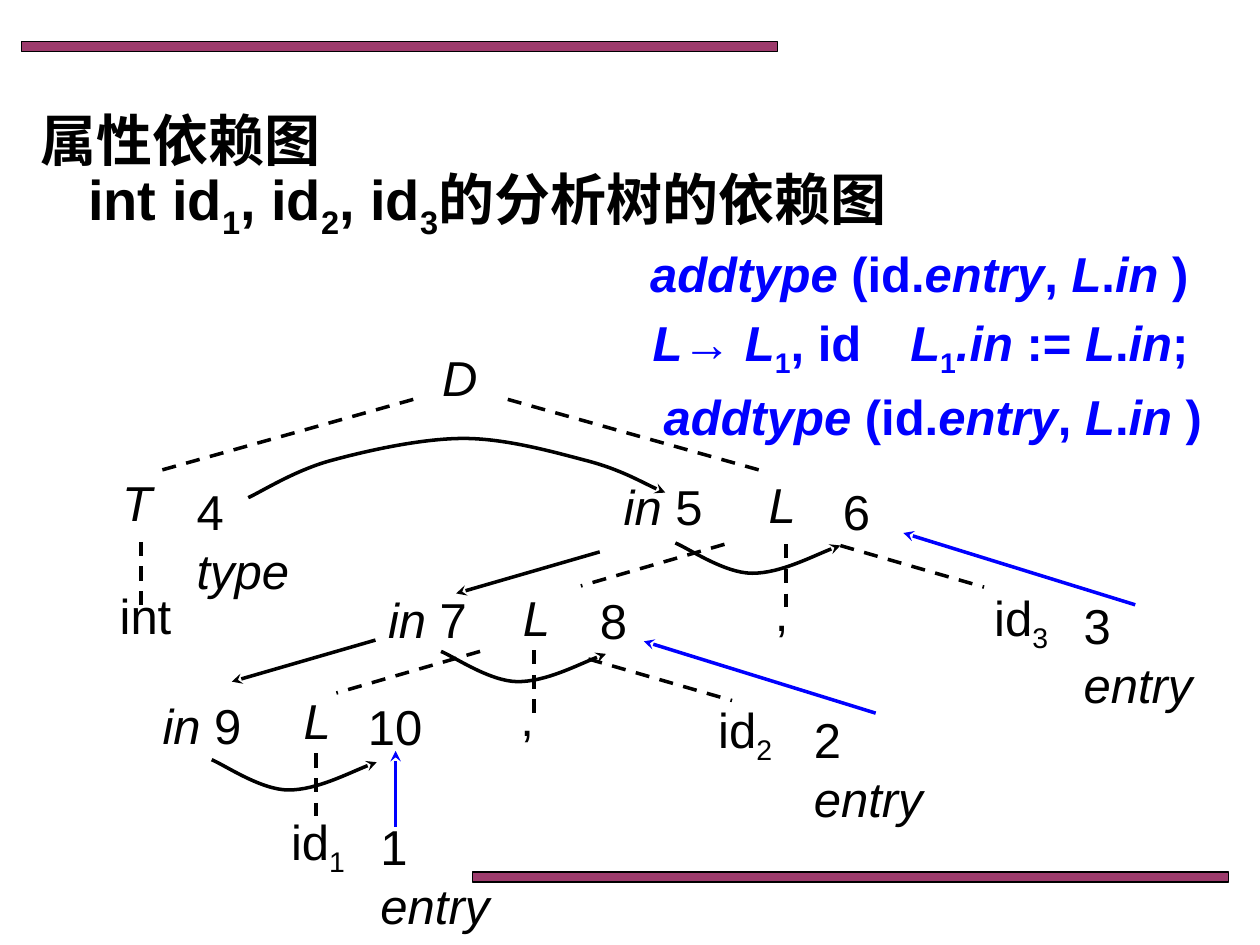
from dataclasses import dataclass

from lxml import etree
from pptx import Presentation
from pptx.dml.color import RGBColor
from pptx.enum import dml, shapes, text
from pptx.oxml import ns
from pptx.util import Inches, Pt


@dataclass(frozen=True)
class Theme:
    font: str = "Arial"
    heading: int = 32
    label: int = 28
    black: RGBColor = RGBColor(0, 0, 0)
    blue: RGBColor = RGBColor(0, 0, 255)
    bar: RGBColor = RGBColor(0x99, 0x33, 0x66)
    stroke: int = 2


THEME = Theme()

# In all text, * switches italics on or off and _ lowers the next character.
# Body lines: text, size, colour, alignment, line height in points, first indent
RIGHT, LEFT = text.PP_ALIGN.RIGHT, text.PP_ALIGN.LEFT
BODY = [
    ("属性依赖图", THEME.heading, THEME.black, LEFT, 41, -0.38),
    ("int id_1, id_2, id_3的分析树的依赖图", THEME.heading, THEME.black, LEFT, 39, 0),
    ("*addtype *(id.*entry*, *L*.*in* ) ", THEME.label, THEME.blue, RIGHT, 35, -0.38),
    ("*L*→ *L*_1, id\N{EM SPACE}*L*_1*.in* := *L*.*in*; ", THEME.label, THEME.blue, RIGHT, 44, -0.38),
    ("*addtype *(id.*entry*, *L*.*in* )", THEME.label, THEME.blue, RIGHT, 38, -0.38),
]

# Node labels: text, left, top, width
LABELS = [
    ("*D*", 3.49, 2.75, 0.43),
    ("*T*", 0.95, 3.74, 0.64),
    ("4 *type*", 1.54, 3.81, 1.06),
    ("*in *5", 4.93, 3.77, 0.99),
    ("*L*", 6.08, 3.76, 0.59),
    ("6", 6.67, 3.81, 0.48),
    ("int", 0.93, 4.64, 1.14),
    ("*in *7", 3.06, 4.67, 0.74),
    ("*L*", 4.13, 4.65, 0.51),
    ("8", 4.74, 4.68, 0.48),
    (",", 6.13, 4.61, 0.43),
    ("id_3", 7.87, 4.65, 0.98),
    ("3 *entry*", 8.58, 4.72, 1.17),
    ("*in *9", 1.27, 5.51, 0.74),
    ("*L*", 2.39, 5.47, 0.48),
    ("10", 2.9, 5.52, 0.48),
    (",", 4.11, 5.45, 0.43),
    ("id_2", 5.68, 5.54, 0.99),
    ("2 *entry*", 6.44, 5.62, 1.17),
    ("id_1", 2.29, 6.43, 0.99),
    ("1 *entry*", 3, 6.47, 1.17),
]

# Tree edges and arrows: reach (dx, dy), then the starts that share it
TREE_EDGES = [
    ((-2.03, 0.57), [(3.28, 3.17)]),
    ((2.03, 0.57), [(4.03, 3.17)]),
    ((-1.14, 0.33), [(5.75, 4.32), (3.81, 5.17)]),
    ((1.14, 0.33), [(6.67, 4.33), (4.67, 5.23)]),
    ((0, 0.5), [(1.12, 4.3), (6.24, 4.32), (4.24, 5.16), (2.51, 5.98)]),
]
INHERITED_ARROWS = [((-1.14, 0.33), [(4.76, 4.38), (2.98, 5.08)])]
ENTRY_ARROWS = [
    ((-1.84, -0.57), [(9.01, 4.8), (6.95, 5.66)]),
    ((0, -0.6), [(3.14, 6.56)]),
]

# Curves: Bezier points relative to the start
TYPE_ARC = [(0.11, -0.05), (0.36, -0.21), (0.64, -0.29),
            (0.93, -0.37), (1.37, -0.47), (1.71, -0.47),
            (2.05, -0.47), (2.43, -0.36), (2.7, -0.29),
            (2.96, -0.22), (3.18, -0.09), (3.31, -0.04)]
COPY_ARC = [(0.1, 0.04), (0.39, 0.24), (0.61, 0.24),
            (0.83, 0.24), (1.16, 0.07), (1.31, 0.02)]
COPY_STARTS = [(5.36, 4.31), (3.5, 5.17), (1.68, 6.03)]


def add_runs(paragraph, markup):
    """Split the markup into runs of plain, italic and lowered text."""
    for index, part in enumerate(markup.split("*")):
        for position, piece in enumerate(part.split("_")):
            lowered, rest = (piece[:1], piece[1:]) if position else ("", piece)
            for content, offset in ((lowered, "-25000"), (rest, None)):
                if not content:
                    continue
                run = paragraph.add_run()
                run.text = content
                if index % 2:
                    run.font.italic = True
                if offset:
                    run.font._element.set("baseline", offset)


def style_font(font, size, color, bold=False):
    font.name = THEME.font
    font.size = Pt(size)
    font.bold = bold
    font.color.rgb = color


def style_line(line, color, dashed=False, arrow=False):
    line.color.rgb = color
    line.width = Pt(THEME.stroke)
    if dashed:
        line.dash_style = dml.MSO_LINE.DASH
    if arrow:
        etree.SubElement(line._get_or_add_ln(), ns.qn("a:tailEnd"), type="stealth")


def add_bar(slide, left, top):
    bar = slide.shapes.add_shape(
        shapes.MSO_SHAPE.RECTANGLE, Inches(left), Inches(top), Inches(6), Inches(0.08))
    bar.shadow.inherit = False
    bar.fill.solid()
    bar.fill.fore_color.rgb = THEME.bar
    color = bar.fill._xPr.find(".//" + ns.qn("a:srgbClr"))
    etree.SubElement(color, ns.qn("a:alpha"), val="96000")
    bar.line.color.rgb = THEME.black
    bar.line.width = Pt(0.75)


def fill_body(body):
    body.left, body.top, body.width, body.height = map(Inches, (0.22, 0.75, 9.42, 5.75))
    frame = body.text_frame
    frame.auto_size = text.MSO_AUTO_SIZE.NONE
    frame.vertical_anchor = text.MSO_ANCHOR.TOP
    for index, (markup, size, color, alignment, height, indent) in enumerate(BODY):
        paragraph = frame.add_paragraph() if index else frame.paragraphs[0]
        properties = paragraph._p.get_or_add_pPr()
        properties.set("marL", str(Inches(0.38)))
        properties.set("indent", str(Inches(indent)))
        etree.SubElement(properties, ns.qn("a:buNone"))
        paragraph.alignment = alignment
        paragraph.space_before = Pt(0)
        paragraph.line_spacing = Pt(height)
        add_runs(paragraph, markup)
        style_font(paragraph.font, size, color, bold=True)


def add_label(slide, markup, left, top, width):
    box = slide.shapes.add_textbox(Inches(left), Inches(top), Inches(width), Inches(0.48))
    frame = box.text_frame
    frame.word_wrap = True
    frame.margin_left = frame.margin_right = Inches(0.02)
    frame.margin_top = frame.margin_bottom = Inches(0.01)
    paragraph = frame.paragraphs[0]
    paragraph.alignment = text.PP_ALIGN.JUSTIFY
    add_runs(paragraph, markup)
    style_font(paragraph.font, THEME.label, THEME.black)


def add_lines(slide, groups, color, **style):
    for (dx, dy), starts in groups:
        for x, y in starts:
            connector = slide.shapes.add_connector(
                shapes.MSO_CONNECTOR.STRAIGHT,
                Inches(x), Inches(y), Inches(x + dx), Inches(y + dy))
            style_line(connector.line, color, **style)
            etree.SubElement(connector._element.spPr, ns.qn("a:effectLst"))


def add_curve(slide, start, offsets):
    x, y = start
    builder = slide.shapes.build_freeform(Inches(x), Inches(y))
    builder.add_line_segments(
        [(Inches(x + dx), Inches(y + dy)) for dx, dy in offsets], close=False)
    curve = builder.convert_to_shape()
    # Gather each three points into one Bezier segment
    segments = list(curve._element.iter(ns.qn("a:lnTo")))
    outline = segments[0].getparent()
    for index in range(0, len(segments), 3):
        bezier = etree.SubElement(outline, ns.qn("a:cubicBezTo"))
        for segment in segments[index:index + 3]:
            bezier.append(segment[0])
            outline.remove(segment)
    curve.shadow.inherit = False
    curve.fill.background()
    style_line(curve.line, THEME.black, arrow=True)


def main():
    presentation = Presentation()
    presentation.slide_width, presentation.slide_height = Inches(10), Inches(7.5)
    slide = presentation.slides.add_slide(presentation.slide_layouts[1])
    title = slide.shapes.title._element
    title.getparent().remove(title)

    # Decorative bars and body text
    add_bar(slide, 0.17, 0.33)
    add_bar(slide, 3.75, 6.92)
    fill_body(slide.placeholders[1])

    # Parse tree
    for label in LABELS:
        add_label(slide, *label)
    add_lines(slide, TREE_EDGES, THEME.black, dashed=True)

    # Dependencies between attributes
    add_lines(slide, INHERITED_ARROWS, THEME.black, arrow=True)
    add_lines(slide, ENTRY_ARROWS, THEME.blue, arrow=True)
    add_curve(slide, (1.97, 3.95), TYPE_ARC)
    for start in COPY_STARTS:
        add_curve(slide, start, COPY_ARC)

    presentation.save("out.pptx")


if __name__ == "__main__":
    main()
